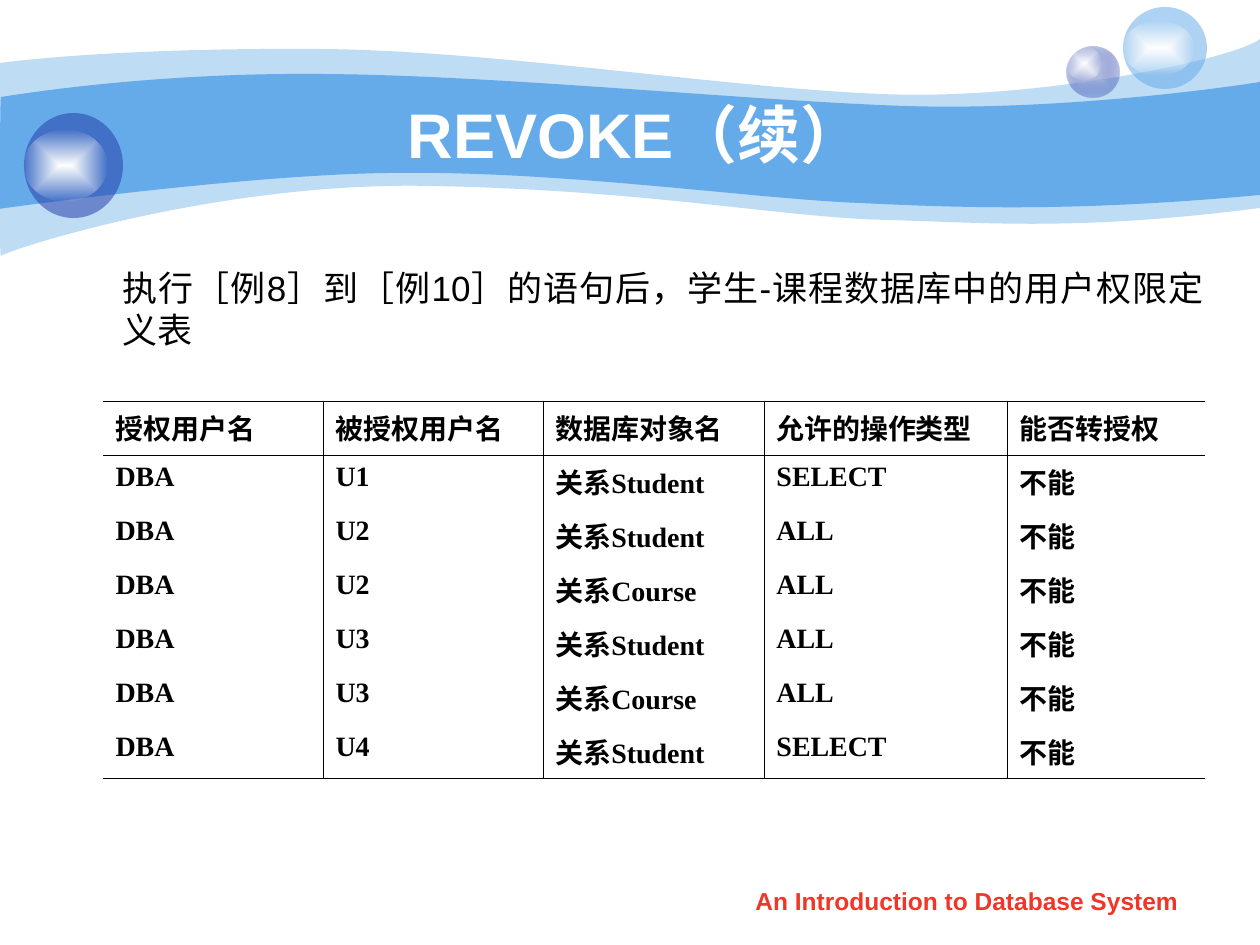
from lxml.etree import SubElement, fromstring
from pptx import Presentation
from pptx.dml.color import RGBColor
from pptx.enum.shapes import MSO_SHAPE
from pptx.enum.text import MSO_ANCHOR, MSO_AUTO_SIZE, PP_ALIGN
from pptx.oxml.ns import nsdecls, qn
from pptx.util import Pt

PX = 914400 / 126
THEME = {
    "sky": "65AAE9", "navy": "233DA9", "mist": "C7CEE9", "white": "FFFFFF",
    "red": "F03628", "ink": "000000", "sans": "Arial", "serif": "Times New Roman",
    "title": 36, "body": 20, "cell": 16, "foot": 14, "rule": 0.45,
}


def write(frame, text, size="body", font="sans", color="ink", bold=False,
          align=PP_ALIGN.LEFT, anchor=MSO_ANCHOR.TOP, left=0, first=0):
    frame.word_wrap = True
    frame.auto_size = MSO_AUTO_SIZE.NONE
    frame.vertical_anchor = anchor
    para = frame.paragraphs[0]
    props = para._p.get_or_add_pPr()
    props.set("marL", str(round(left * PX)))
    props.set("indent", str(round(first * PX)))
    SubElement(props, qn("a:buNone"))
    para.alignment = align
    para.space_before = Pt(0)
    run = para.add_run()
    run.text = text
    run.font.size = Pt(THEME[size])
    run.font.name = THEME[font]
    run.font.bold = bold
    run.font.color.rgb = RGBColor.from_string(THEME[color])


def paint(shape, *stops):
    tones = [f'<a:srgbClr val="{THEME[color]}"><a:alpha val="{alpha * 1000}"/></a:srgbClr>'
             for color, alpha in stops]
    if len(tones) == 1:
        fill = f'<a:solidFill {nsdecls("a")}>{tones[0]}</a:solidFill>'
    else:
        fill = (f'<a:gradFill {nsdecls("a")} rotWithShape="1"><a:gsLst>'
                f'<a:gs pos="0">{tones[0]}</a:gs><a:gs pos="100000">{tones[1]}</a:gs></a:gsLst>'
                '<a:path path="rect"><a:fillToRect l="50000" t="50000" r="50000" b="50000"/>'
                '</a:path></a:gradFill>')
    shape.fill.background()
    props = shape.element.spPr
    props.replace(props.find(qn("a:noFill")), fromstring(fill))
    shape.line.fill.background()
    shape.shadow.inherit = False


deck = Presentation()
deck.slide_width, deck.slide_height = round(1260 * PX), round(945 * PX)
slide = deck.slides.add_slide(deck.slide_layouts[1])
shapes = slide.shapes
title, body = slide.placeholders

waves = [
    (41, (0, 63), [
        (30, 59, 135, 48, 311, 49), (486, 49, 724, 88, 881, 94),
        (1036, 101, 1235, 59, 1260, 39), (1260, 208),
        (1081, 231, 992, 223, 888, 220), (784, 218, 649, 190, 432, 186),
        (217, 181, 5, 251, 1, 256), (-1, 262, 0, 94, 0, 63)]),
    (100, (1, 97), [
        (3, 97, 139, 73, 312, 74), (486, 74, 750, 101, 905, 106),
        (1060, 111, 1230, 87, 1260, 82), (1260, 195),
        (1075, 212, 964, 208, 859, 203), (755, 199, 563, 171, 399, 173),
        (256, 173, -3, 209, -1, 209), (0, 209, 0, 97, 1, 97)]),
]
for alpha, start, steps in waves:
    pen = shapes.build_freeform(*start, scale=PX)
    for step in steps:
        pen.add_line_segments(list(zip(step[::2], step[1::2])), close=False)
    wave = pen.convert_to_shape()
    track = wave.element.find(".//" + qn("a:path"))
    lines = iter(track.findall(qn("a:lnTo")))
    for step in steps:
        parts = [next(lines) for _ in step[::2]]
        if len(parts) == 3:
            curve = SubElement(track, qn("a:cubicBezTo"))
            track.replace(parts[0], curve)
            for part in parts:
                curve.append(part[0])
            for part in parts[1:]:
                track.remove(part)
    SubElement(track, qn("a:close"))
    paint(wave, ("sky", alpha))

glow = [("white", 100), ("white", 0)]
balls = [
    ((1067, 47, 53, 51), [("mist", 100), ("navy", 31)], (1067, 47, 35, 34)),
    ((1123, 7, 84, 82), [("sky", 53)], (1123, 21, 71, 54)),
    ((24, 113, 99, 105), [("navy", 53)], (24, 130, 83, 71)),
]
for outer, tint, inner in balls:
    group = shapes.add_group_shape()
    for box, stops in ((outer, tint), (inner, glow)):
        paint(group.shapes.add_shape(MSO_SHAPE.OVAL, *(round(n * PX) for n in box)), *stops)

foot = shapes.add_textbox(*(round(n * PX) for n in (719, 880, 496, 44)))
write(foot.text_frame, "An Introduction to Database System", size="foot",
      color="red", bold=True, align=PP_ALIGN.CENTER)

for holder, box in ((title, (126, 94, 1019, 78)), (body, (63, 252, 1153, 151))):
    holder.left, holder.top, holder.width, holder.height = (round(n * PX) for n in box)
    holder.element.getparent().append(holder.element)
write(title.text_frame, "REVOKE（续）", size="title", color="white", bold=True,
      align=PP_ALIGN.CENTER, anchor=MSO_ANCHOR.MIDDLE)
body.text_frame.margin_top = round(14 * PX)
write(body.text_frame, "执行［例8］到［例10］的语句后，学生-课程数据库中的用户权限定义表",
      align=PP_ALIGN.JUSTIFY, left=47)

rows = [
    ("授权用户名", "被授权用户名", "数据库对象名", "允许的操作类型", "能否转授权"),
    ("DBA", "U1", "关系Student", "SELECT", "不能"),
    ("DBA", "U2", "关系Student", "ALL", "不能"),
    ("DBA", "U2", "关系Course", "ALL", "不能"),
    ("DBA", "U3", "关系Student", "ALL", "不能"),
    ("DBA", "U3", "关系Course", "ALL", "不能"),
    ("DBA", "U4", "关系Student", "SELECT", "不能"),
]
widths = [220, 220, 221, 243, 198]
high = 54
table = shapes.add_table(len(rows), len(widths), *(
    round(n * PX) for n in (103, 401, sum(widths), high * len(rows)))).table
table.first_row = table.horz_banding = False
for col, width in zip(table.columns, widths):
    col.width = round(width * PX)
for r, row in enumerate(rows):
    table.rows[r].height = round(high * PX)
    for c, text in enumerate(row):
        cell = table.cell(r, c)
        write(cell.text_frame, text, size="cell", font="serif", bold=True, left=48, first=-48)
        props = cell._tc.get_or_add_tcPr()
        sides = {"L": c > 0, "R": c < len(widths) - 1,
                 "T": r < 2, "B": r in (0, len(rows) - 1)}
        for side, shown in sides.items():
            line = SubElement(props, qn(f"a:ln{side}"), w=str(Pt(THEME["rule"])))
            fill = SubElement(line, qn("a:solidFill" if shown else "a:noFill"))
            if shown:
                SubElement(fill, qn("a:srgbClr"), val=THEME["ink"])
        cell.fill.background()

deck.save("out.pptx")
